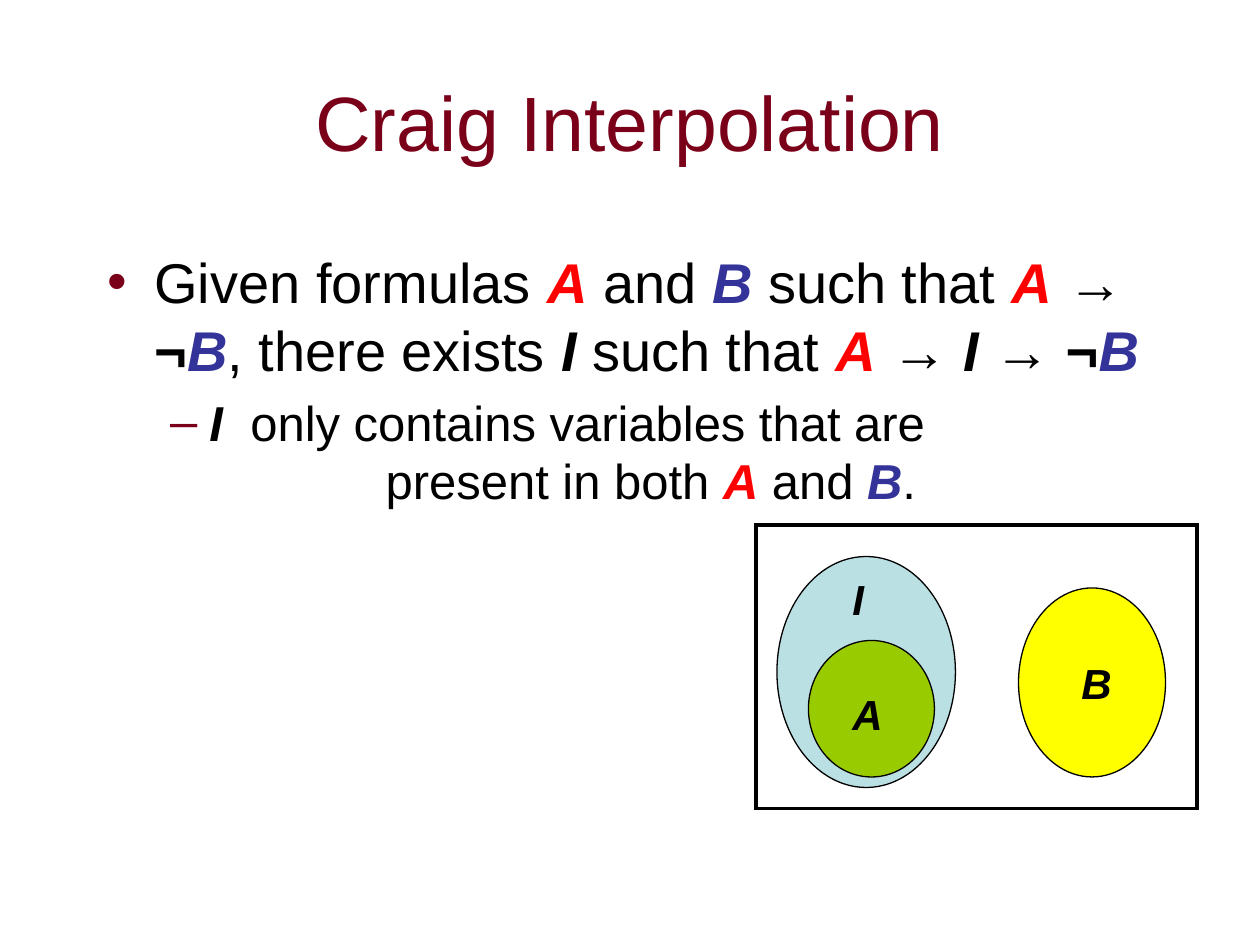
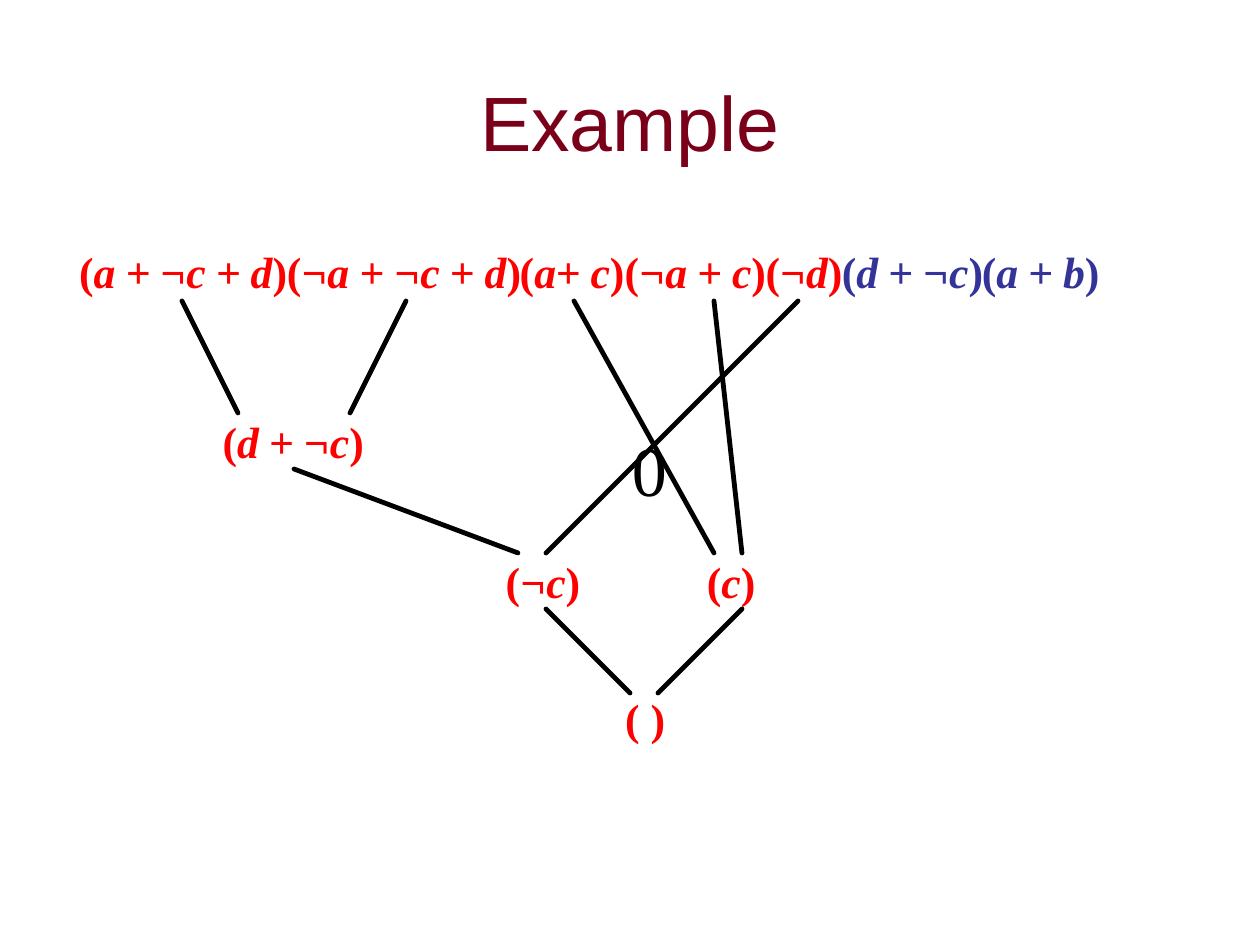
from itertools import groupby

from lxml import etree
from pptx import Presentation
from pptx.dml.color import RGBColor
from pptx.enum import shapes, text
from pptx.oxml import ns
from pptx.util import Pt

COLORS = {
    "title": "7A0019", "black": "000000", "white": "FFFFFF", "red": "FF0000",
    "blue": "333399", "pale blue": "BBE0E3", "green": "99CC00", "yellow": "FFFF00",
}
TITLE_FORMAT = {"name": "Arial", "size": Pt(44), "bold": False}
LABEL_FORMAT = {"name": "Arial", "size": Pt(24), "bold": True, "italic": True}
FORMULA_FORMAT = {"name": "Times New Roman", "size": Pt(25), "bold": True}
FORMULA_SPACING = -0.25
ZERO_FORMAT = {"name": "Times New Roman", "size": Pt(40)}

PLAIN = {"bold": False, "italic": False}
SYMBOL = {"bold": True, "italic": False}
VARIABLE = {"bold": True, "italic": True}
A = ("A", VARIABLE, "red")
B = ("B", VARIABLE, "blue")
I = ("I", VARIABLE, "black")
NOT = ("¬", VARIABLE, "black")
ARROW = (" → ", SYMBOL, "black")
WIDE_SPACE = (" ", VARIABLE, "black", 7.8)


def plain(words):
    return words, PLAIN, "black"


# Each line: bullet, level, left margin, first-line indent, space before, size, runs
THEOREM = [
    ("•", 0, 27, -27, 0, 32,
     [plain("Given formulas "), A, plain(" and "), B, plain(" such that "), A, ARROW,
      NOT, B, plain(", there exists "), I, plain(" such that "), A, ARROW, I, ARROW,
      NOT, B]),
    ("–", 1, 58.5, -22.5, 5.6, 28,
     [I, WIDE_SPACE, plain("only contains variables that are")]),
    (None, 1, 159.2, 0, 0, 28,
     [plain("present in both "), A, plain(" and "), B, plain(".")]),
]

# Each ellipse: left, top, width, height, fill
SETS = [
    (444, 318, 102, 132, "pale blue"),
    (462, 366, 72, 78, "green"),
    (582, 336, 84, 108, "yellow"),
]
SET_LABELS = [("A", 480, 390, 30), ("I", 480, 324, 24), ("B", 610.8, 372, 31)]

# Each row of the proof: top, then clauses as formula, left, width, colour
PROOF_ROWS = [
    (140, [("(a + ¬c + d)", 45.2, 121, "red"), ("(¬a + ¬c + d)", 164, 136, "red"),
           ("(a+ c)", 297, 61, "red"), ("(¬a + c)", 357, 82, "red"),
           ("(¬d)", 437.5, 45, "red"), ("(d + ¬c)", 481, 82, "blue"),
           ("(a + b)", 561, 68, "blue")]),
    (237, [("(d + ¬c)", 127.2, 82, "red")]),
    (317, [("(¬c)", 289, 43, "red"), ("(c)", 404, 28, "red")]),
    (395.4, [("( )", 357.2, 23, "red")]),
]
RESOLUTIONS = [
    (104, 172, 136, 236), (232, 172, 200, 236),
    (168, 268, 296, 316), (456, 172, 312, 316),
    (328, 172, 408, 316), (408, 172, 424, 316),
    (312, 348, 360, 396), (424, 348, 376, 396),
]


def rgb(color):
    return RGBColor.from_string(COLORS[color])


def add_run(paragraph, words, values, color, spacing=0):
    """Add formatted text; spacing widens each character by that many points."""
    run = paragraph.add_run()
    run.text = words
    for name, value in values.items():
        setattr(run.font, name, value)
    run.font.color.rgb = rgb(color)
    if spacing:
        run._r.get_or_add_rPr().set("spc", str(round(spacing * 100)))


def place(shape, left, top, width, height):
    box = {"left": left, "top": top, "width": width, "height": height}
    for name, value in box.items():
        setattr(shape, name, Pt(value))


def add_titled_slide(presentation, layout_index, title):
    slide = presentation.slides.add_slide(presentation.slide_layouts[layout_index])
    shape = slide.shapes.title
    place(shape, 54, 24, 612, 90)
    frame = shape.text_frame
    frame.auto_size = text.MSO_AUTO_SIZE.NONE
    frame.vertical_anchor = text.MSO_ANCHOR.MIDDLE
    paragraph = frame.paragraphs[0]
    paragraph.alignment = text.PP_ALIGN.CENTER
    add_run(paragraph, title, TITLE_FORMAT, "title")
    return slide


def set_bullet(paragraph, character, margin, indent):
    properties = paragraph._p.get_or_add_pPr()
    properties.set("marL", str(Pt(margin)))
    properties.set("indent", str(Pt(indent)))
    if character is None:
        etree.SubElement(properties, ns.qn("a:buNone"))
        return
    bullet_color = etree.SubElement(properties, ns.qn("a:buClr"))
    etree.SubElement(bullet_color, ns.qn("a:srgbClr"), val=COLORS["title"])
    etree.SubElement(properties, ns.qn("a:buFont"), typeface="Arial")
    etree.SubElement(properties, ns.qn("a:buChar"), char=character)


def fill_body(slide, lines):
    body = slide.placeholders[1]
    place(body, 54, 138, 612, 312)
    frame = body.text_frame
    frame.auto_size = text.MSO_AUTO_SIZE.NONE
    for number, (bullet, level, margin, indent, before, size, runs) in enumerate(lines):
        paragraph = frame.add_paragraph() if number else frame.paragraphs[0]
        paragraph.level = level
        set_bullet(paragraph, bullet, margin, indent)
        paragraph.space_before = Pt(before)
        for words, style, color, *spacing in runs:
            values = {"name": "Arial", "size": Pt(size), **style}
            add_run(paragraph, words, values, color, *spacing)


def add_outlined(slide, kind, box, fill, line_width):
    shape = slide.shapes.add_shape(kind, *map(Pt, box))
    shape.shadow.inherit = False
    shape.fill.solid()
    shape.fill.fore_color.rgb = rgb(fill)
    shape.line.color.rgb = rgb("black")
    shape.line.width = Pt(line_width)
    etree.SubElement(shape.line._get_or_add_ln(), ns.qn("a:miter"), lim="800000")


def add_label(slide, words, box, values):
    frame = slide.shapes.add_textbox(*map(Pt, box)).text_frame
    frame.word_wrap = True
    frame.auto_size = text.MSO_AUTO_SIZE.SHAPE_TO_FIT_TEXT
    add_run(frame.paragraphs[0], words, values, "black")


def add_formula(slide, formula, left, top, width, color):
    """Write a clause with upright brackets and italic contents."""
    box = slide.shapes.add_textbox(Pt(left), Pt(top), Pt(width), Pt(30))
    frame = box.text_frame
    frame.word_wrap = True
    for side in ("left", "top", "right", "bottom"):
        setattr(frame, f"margin_{side}", 0)
    for is_bracket, characters in groupby(formula, lambda character: character in "()"):
        values = {**FORMULA_FORMAT, "italic": not is_bracket}
        add_run(frame.paragraphs[0], "".join(characters), values, color, FORMULA_SPACING)


def add_line(slide, ends):
    line = slide.shapes.add_connector(shapes.MSO_CONNECTOR.STRAIGHT, *map(Pt, ends))
    line.line.color.rgb = rgb("black")
    line.line.width = Pt(2.75)
    line.line._get_or_add_ln().set("cap", "rnd")
    etree.SubElement(line._element.spPr, ns.qn("a:effectLst"))


def add_interpolation_slide(presentation):
    slide = add_titled_slide(presentation, 1, "Craig Interpolation")
    fill_body(slide, THEOREM)
    add_outlined(slide, shapes.MSO_SHAPE.RECTANGLE, (432, 300, 252, 162), "white", 2)
    for *box, fill in SETS:
        add_outlined(slide, shapes.MSO_SHAPE.OVAL, box, fill, 0.75)
    for name, left, top, width in SET_LABELS:
        add_label(slide, name, (left, top, width, 36), LABEL_FORMAT)


def add_example_slide(presentation):
    slide = add_titled_slide(presentation, 5, "Example")
    for top, clauses in PROOF_ROWS:
        for formula, left, width, color in clauses:
            add_formula(slide, formula, left, top, width, color)
    for ends in RESOLUTIONS:
        add_line(slide, ends)
    add_label(slide, "0", (354, 240, 39, 55), ZERO_FORMAT)


def main():
    presentation = Presentation()
    presentation.slide_width, presentation.slide_height = Pt(720), Pt(540)
    add_interpolation_slide(presentation)
    add_example_slide(presentation)
    presentation.save("out.pptx")


if __name__ == "__main__":
    main()
